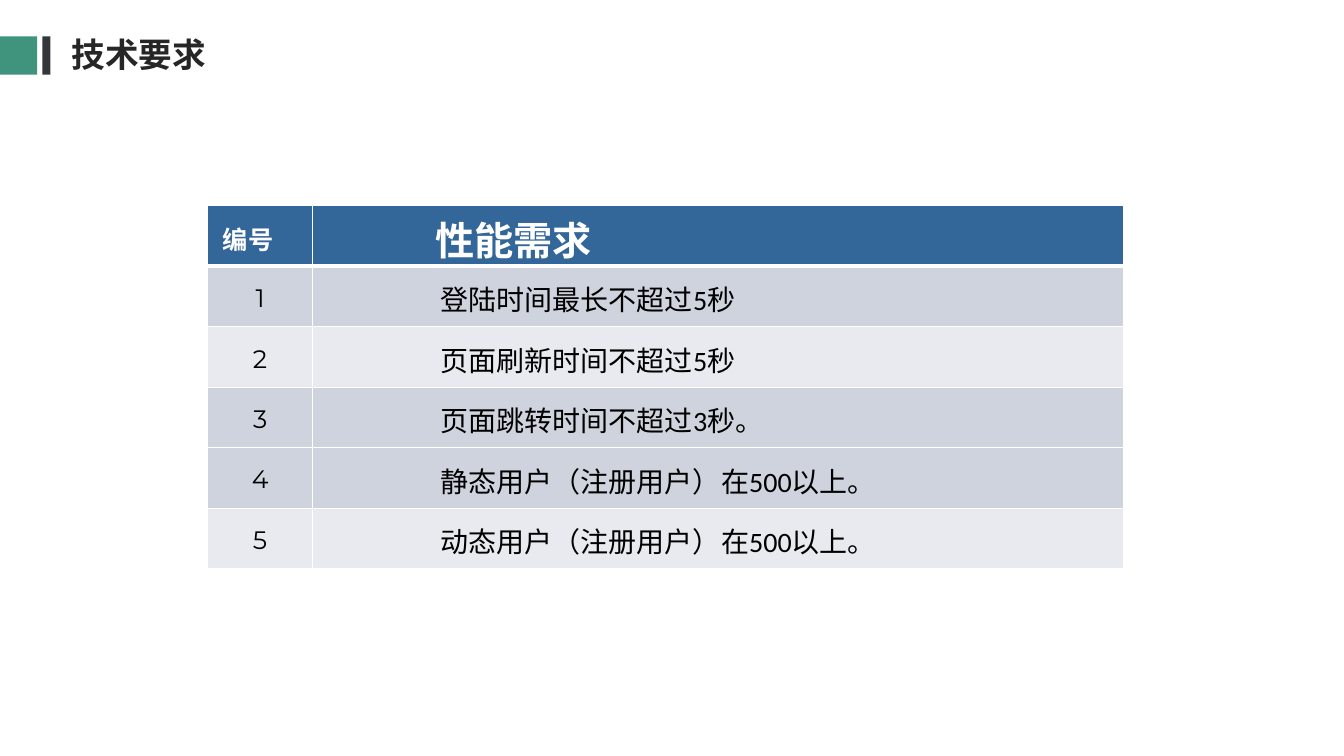
import pptx
import pptx.dml.color
import pptx.enum.shapes
import pptx.enum.text
import pptx.oxml.ns
import pptx.util
import lxml.etree

WIDTH, HEIGHT = 13.33, 7.5
CHINESE_FONT = "Noto Sans CJK SC"
ALIGN = pptx.enum.text.PP_ALIGN
MIDDLE = pptx.enum.text.MSO_ANCHOR.MIDDLE
HEADINGS = ("编号", "性能需求")
REQUIREMENTS = (
    "登陆时间最长不超过5秒",
    "页面刷新时间不超过5秒",
    "页面跳转时间不超过3秒。",
    "静态用户（注册用户）在500以上。",
    "动态用户（注册用户）在500以上。",
)
ROW_FILLS = ("336699", "CED3DE", "E8EAEF", "CED3DE", "CED3DE", "E8EAEF")
HEADING_FORMATS = (
    {"size": 18, "name": "Montserrat", "color": "FFFFFF", "bold": True, "indent": 0.15},
    {"size": 28, "name": "Montserrat", "color": "FFFFFF", "bold": True, "indent": 1.22},
)
BODY_FORMATS = (
    {"size": 18, "name": "Montserrat", "color": "000000", "bold": False, "indent": 0.1,
     "alignment": ALIGN.CENTER},
    {"size": 20, "name": "Calibri", "color": "000000", "bold": False, "indent": 1.27},
)


def inches(*lengths):
    return [pptx.util.Inches(length) for length in lengths]


def rgb(color):
    return pptx.dml.color.RGBColor.from_string(color)


def add_xml(parent, tag, **attributes):
    return lxml.etree.SubElement(parent, pptx.oxml.ns.qn(tag), **attributes)


def write_text(text_frame, text, style):
    paragraph = text_frame.paragraphs[0]
    paragraph.alignment = style.get("alignment", ALIGN.LEFT)
    run = paragraph.add_run()
    run.text = text
    values = {"size": pptx.util.Pt(style["size"]), "bold": style["bold"], "name": style["name"]}
    for attribute, value in values.items():
        setattr(run.font, attribute, value)
    run.font.color.rgb = rgb(style["color"])
    add_xml(run.font._element, "a:ea", typeface=CHINESE_FONT)


def draw_borders(cell, widths):
    """Draw white left, right, top and bottom borders with widths in points."""
    properties = cell._tc.get_or_add_tcPr()
    for side, width in zip("LRTB", widths):
        line = add_xml(properties, f"a:ln{side}", w=str(pptx.util.Pt(width)))
        add_xml(add_xml(line, "a:solidFill"), "a:srgbClr", val="FFFFFF")


def add_heading(slide, left, top, width, height):
    bars = ((0, 0.37, "40937D"), (0.42, 0.08, "35363A"))
    for offset, bar_width, color in bars:
        bar = slide.shapes.add_shape(
            pptx.enum.shapes.MSO_SHAPE.RECTANGLE,
            *inches(left + offset, top, bar_width, height))
        bar.shadow.inherit = False
        bar.fill.solid()
        bar.fill.fore_color.rgb = rgb(color)
        bar.line.fill.background()

    title = slide.shapes.title
    title_box = inches(left + 0.61, top - 0.07, width - 0.61, 0.5)
    for attribute, value in zip(("left", "top", "width", "height"), title_box):
        setattr(title, attribute, value)
    title.text_frame.vertical_anchor = MIDDLE
    title.text_frame.auto_size = pptx.enum.text.MSO_AUTO_SIZE.NONE
    write_text(title.text_frame, "技术要求",
               {"size": 24, "name": CHINESE_FONT, "color": "262626", "bold": True})


def fill_cell(cell, text, style, color, border_widths):
    margins = {"margin_left": style["indent"], "margin_right": 0.1,
               "margin_top": 0.04, "margin_bottom": 0}
    for attribute, value in margins.items():
        setattr(cell, attribute, pptx.util.Inches(value))
    cell.vertical_anchor = MIDDLE
    write_text(cell.text_frame, text, style)
    draw_borders(cell, border_widths)
    cell.fill.solid()
    cell.fill.fore_color.rgb = rgb(color)


def add_requirements(slide, left, top, width, height):
    rows = [HEADINGS] + [(str(number), text) for number, text in enumerate(REQUIREMENTS, 1)]
    table = slide.shapes.add_table(
        len(rows), len(HEADINGS), *inches(left, top, width, height)).table
    number_width = 1.04
    for column, column_width in zip(table.columns, inches(number_width, width - number_width)):
        column.width = column_width
    for row in table.rows:
        row.height = pptx.util.Inches(height / len(rows))

    for row_index, (texts, color) in enumerate(zip(rows, ROW_FILLS)):
        formats = BODY_FORMATS if row_index else HEADING_FORMATS
        border_widths = (1, 1, 3 if row_index == 1 else 1, 1 if row_index else 3)
        for column_index, (text, style) in enumerate(zip(texts, formats)):
            fill_cell(table.cell(row_index, column_index), text, style, color, border_widths)


def main():
    presentation = pptx.Presentation()
    presentation.slide_width, presentation.slide_height = inches(WIDTH, HEIGHT)
    title_only = presentation.slide_layouts[5]
    slide = presentation.slides.add_slide(title_only)
    add_heading(slide, 0, 0.36, 3.64, 0.38)
    add_requirements(slide, 2.06, 2.04, 9.08, HEIGHT * 0.48)
    presentation.save("out.pptx")


if __name__ == "__main__":
    main()
